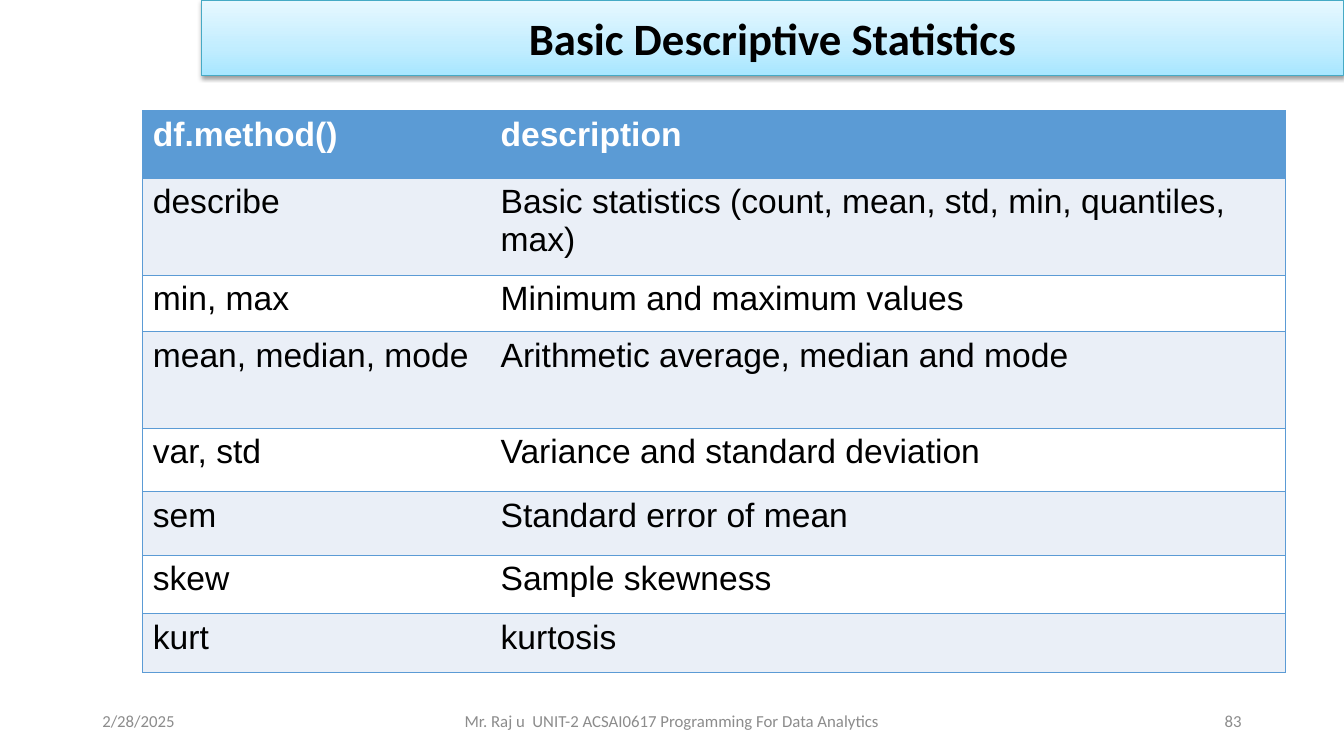
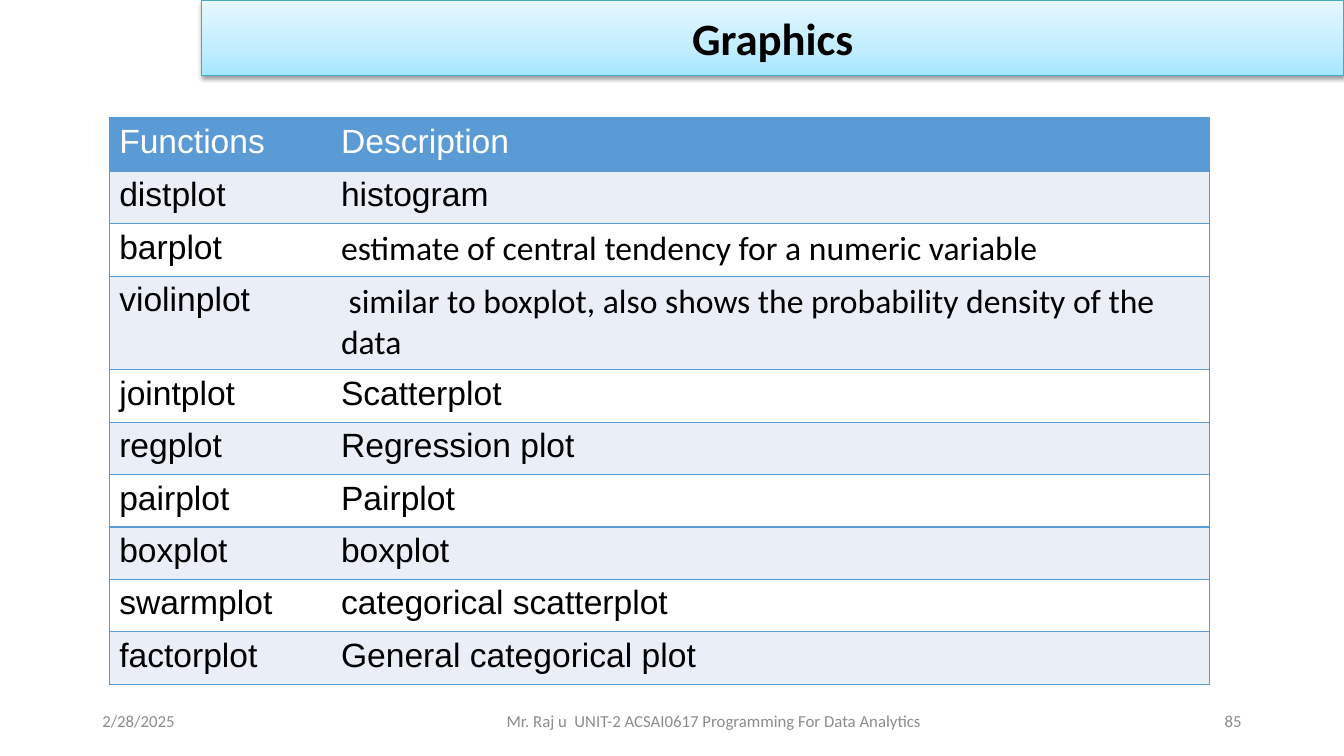
"""Build two slides of reference tables with a shared title band and footer."""
from dataclasses import dataclass

import pptx
import pptx.dml.color
import pptx.enum.text
import pptx.oxml
import pptx.oxml.ns
import pptx.presentation
import pptx.shapes.base
import pptx.slide
import pptx.table
import pptx.text.text
import pptx.util

COLUMN = pptx.util.Inches(1 / 12)
ROW = pptx.util.Inches(0.05)
SLIDE_COLUMNS, SLIDE_ROWS = 160, 150

BLACK, WHITE = "000000", "FFFFFF"
ACCENT, BAND, FOOTER_GRAY = "5B9BD5", "EAEFF7", "8C8C8C"
TITLE_LINE = "46AAC5"
TITLE_STOPS = ((0, "A7E6FF"), (35, "C1EDFF"), (100, "E7F8FF"))
PLAIN_TABLE_STYLE = "{2D5ABB26-0587-4C30-8999-92F81FD0307C}"
NAMESPACE = pptx.oxml.ns.nsdecls("a")
ALIGN = pptx.enum.text.PP_ALIGN
MIDDLE = pptx.enum.text.MSO_ANCHOR.MIDDLE


@dataclass(frozen=True)
class Area:
    left: float
    top: float
    width: float
    height: float


@dataclass(frozen=True)
class TextStyle:
    size: float
    color: str = BLACK
    font: str = "Arial"
    bold: bool = False
    align: ALIGN = ALIGN.LEFT


@dataclass(frozen=True)
class TableRow:
    height: float
    name: str
    description: str
    description_font: str = "Arial"


@dataclass(frozen=True)
class TableSlide:
    title: str
    number: str
    footer: Area
    left: float
    top: float
    column_widths: tuple[float, float]
    bold_header: bool
    rows: tuple[TableRow, ...]


TITLE_AREA = Area(24, 0, 136, 15)
DATE_AREA = Area(11, 139, 36, 8)
NUMBER_AREA = Area(113, 139, 36, 8)
TITLE_STYLE = TextStyle(32, font="Calibri", bold=True, align=ALIGN.CENTER)

SLIDES = (
    TableSlide(
        "Basic Descriptive Statistics", "83", Area(53, 139, 54, 8), 17, 22, (41.4, 94.6), True,
        (
            TableRow(13.4, "df.method()", "description"),
            TableRow(19.2, "describe", "Basic statistics (count, mean, std, min, quantiles, max)"),
            TableRow(11.2, "min, max", "Minimum and maximum values"),
            TableRow(19.2, "mean, median, mode", "Arithmetic average, median and mode"),
            TableRow(12.6, "var, std", "Variance and standard deviation"),
            TableRow(12.6, "sem", "Standard error of mean"),
            TableRow(11.6, "skew", "Sample skewness"),
            TableRow(11.6, "kurt", "kurtosis"),
        ),
    ),
    TableSlide(
        "Graphics", "85", Area(37, 139, 96, 8), 13, 23.4, (26.4, 104.6), False,
        (
            TableRow(10.6, "Functions", "Description"),
            TableRow(10.4, "distplot", "histogram"),
            TableRow(10.4, "barplot", "estimate of central tendency for a numeric variable", "Calibri"),
            TableRow(18.6, "violinplot",
                     " similar to boxplot, also shows the probability density of the data", "Calibri"),
            TableRow(10.4, "jointplot", "Scatterplot"),
            TableRow(10.4, "regplot", "Regression plot"),
            TableRow(10.4, "pairplot", "Pairplot"),
            TableRow(10.4, "boxplot", "boxplot"),
            TableRow(10.4, "swarmplot", "categorical scatterplot"),
            TableRow(10.4, "factorplot", "General categorical plot"),
        ),
    ),
)


def rgb(color: str) -> pptx.dml.color.RGBColor:
    return pptx.dml.color.RGBColor.from_string(color)


def place(area: Area) -> tuple[int, int, int, int]:
    return (round(area.left * COLUMN), round(area.top * ROW),
            round(area.width * COLUMN), round(area.height * ROW))


def write(text_frame: pptx.text.text.TextFrame, text: str, style: TextStyle) -> None:
    text_frame.text = text
    text_frame.word_wrap = True
    paragraph = text_frame.paragraphs[0]
    paragraph.alignment = style.align
    font = paragraph.runs[0].font
    font.name, font.size, font.bold = style.font, pptx.util.Pt(style.size), style.bold
    font.color.rgb = rgb(style.color)


def decorate_title(shape: pptx.shapes.base.BaseShape) -> None:
    properties = shape._element.spPr
    stops = "".join(f'<a:gs pos="{share * 1000}"><a:srgbClr val="{color}"/></a:gs>'
                    for share, color in TITLE_STOPS)
    properties.append(pptx.oxml.parse_xml(f'<a:prstGeom {NAMESPACE} prst="rect"><a:avLst/></a:prstGeom>'))
    properties.append(pptx.oxml.parse_xml(
        f'<a:gradFill {NAMESPACE} rotWithShape="1"><a:gsLst>{stops}</a:gsLst>'
        '<a:lin ang="16200000" scaled="0"/></a:gradFill>'))
    shape.line.color.rgb = rgb(TITLE_LINE)
    shape.line.width = pptx.util.Pt(0.75)
    properties.append(pptx.oxml.parse_xml(
        f'<a:effectLst {NAMESPACE}><a:outerShdw blurRad="40000" dist="20000" dir="5400000" '
        f'rotWithShape="0"><a:srgbClr val="{BLACK}"><a:alpha val="38000"/></a:srgbClr>'
        '</a:outerShdw></a:effectLst>'))


def add_title(slide: pptx.slide.Slide, text: str) -> None:
    title = slide.shapes.title
    title.left, title.top, title.width, title.height = place(TITLE_AREA)
    decorate_title(title)
    write(title.text_frame, text, TITLE_STYLE)
    title.text_frame.auto_size = pptx.enum.text.MSO_AUTO_SIZE.NONE
    title.text_frame.vertical_anchor = MIDDLE


def add_footer(slide: pptx.slide.Slide, content: TableSlide) -> None:
    for area, text, align in (
        (DATE_AREA, "2/28/2025", ALIGN.LEFT),
        (content.footer, "Mr. Raj u  UNIT-2 ACSAI0617 Programming For Data Analytics", ALIGN.CENTER),
        (NUMBER_AREA, content.number, ALIGN.RIGHT),
    ):
        text_frame = slide.shapes.add_textbox(*place(area)).text_frame
        write(text_frame, text, TextStyle(12, FOOTER_GRAY, "Calibri", align=align))
        text_frame.vertical_anchor = MIDDLE


def style_cell(cell: pptx.table._Cell, fill: str, sides: str) -> None:
    cell.fill.solid()
    cell.fill.fore_color.rgb = rgb(fill)
    properties = cell._tc.get_or_add_tcPr()
    for index, side in enumerate(sides):
        properties.insert(index, pptx.oxml.parse_xml(
            f'<a:ln{side} {NAMESPACE} w="12700"><a:solidFill><a:srgbClr val="{ACCENT}"/>'
            f'</a:solidFill></a:ln{side}>'))


def add_table(slide: pptx.slide.Slide, content: TableSlide) -> None:
    area = Area(content.left, content.top, sum(content.column_widths),
                sum(row.height for row in content.rows))
    table = slide.shapes.add_table(len(content.rows), 2, *place(area)).table
    table.horz_banding = False
    table._tbl.tblPr.find(pptx.oxml.ns.qn("a:tableStyleId")).text = PLAIN_TABLE_STYLE
    for column, width in zip(table.columns, content.column_widths):
        column.width = round(width * COLUMN)
    for index, row in enumerate(content.rows):
        table.rows[index].height = round(row.height * ROW)
        header = index == 0
        fill = ACCENT if header else (WHITE, BAND)[index % 2]
        color = WHITE if header else BLACK
        bold = header and content.bold_header
        for column_index, (text, font, sides) in enumerate((
            (row.name, "Arial", "LTB"),
            (row.description, row.description_font, "RTB"),
        )):
            cell = table.cell(index, column_index)
            write(cell.text_frame, text, TextStyle(24, color, font, bold))
            style_cell(cell, fill, sides)


def add_table_slide(presentation: pptx.presentation.Presentation, content: TableSlide) -> None:
    slide = presentation.slides.add_slide(presentation.slide_layouts.get_by_name("Title Only"))
    add_table(slide, content)
    add_footer(slide, content)
    add_title(slide, content.title)


def main() -> None:
    presentation = pptx.Presentation()
    presentation.slide_width = SLIDE_COLUMNS * COLUMN
    presentation.slide_height = SLIDE_ROWS * ROW
    for content in SLIDES:
        add_table_slide(presentation, content)
    presentation.save("out.pptx")


if __name__ == "__main__":
    main()
